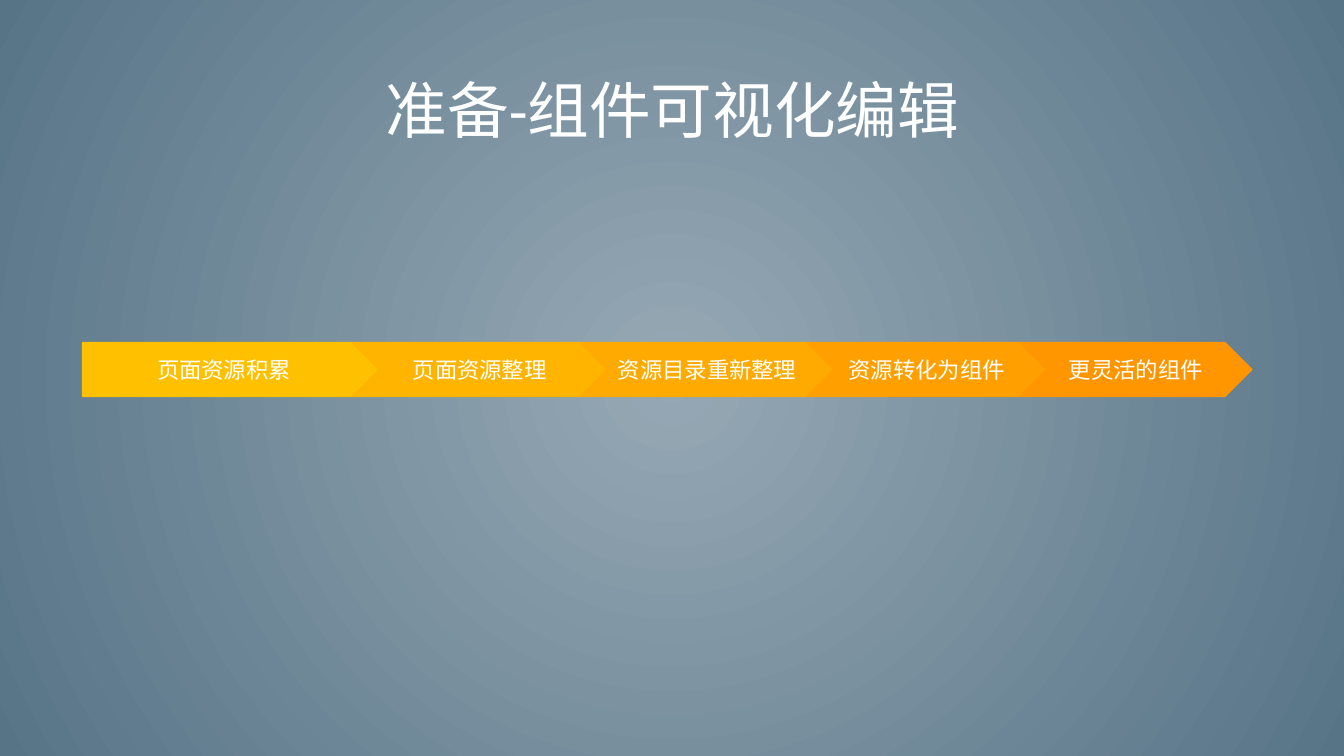
from dataclasses import dataclass

import lxml.etree
import pptx
import pptx.dml.color
import pptx.enum.shapes
import pptx.enum.text
import pptx.oxml.ns
import pptx.util


@dataclass(frozen=True)
class Theme:
    font: str = "Calibri"
    text: str = "FFFFFF"
    glow: str = "96A8B4"
    edge: str = "577487"
    title_size: int = 44
    step_size: int = 16
    outline: int = 1


@dataclass(frozen=True)
class Step:
    label: str
    width: float
    color: str


THEME = Theme()
SLIDE_WIDTH = pptx.util.Inches(13.33)
SLIDE_HEIGHT = pptx.util.Inches(7.5)
CHAIN_LEFT, CHAIN_TOP, CHAIN_HEIGHT = 6.15, 45.33, 7.1
OVERLAP = 1.99
STEPS = [
    Step("页面资源积累", 22.05, "FFC000"),
    Step("页面资源整理", 18.98, "FFB500"),
    Step("资源目录重新整理", 18.83, "FFAA00"),
    Step("资源转化为组件", 17.85, "FFA000"),
    Step("更灵活的组件", 17.25, "FF9600"),
]


def across(percent: float) -> int:
    return round(SLIDE_WIDTH * percent / 100)


def down(percent: float) -> int:
    return round(SLIDE_HEIGHT * percent / 100)


def rgb(value: str) -> pptx.dml.color.RGBColor:
    return pptx.dml.color.RGBColor.from_string(value)


def apply(target, formats: dict) -> None:
    for name, value in formats.items():
        setattr(target, name, value)


def write(shape, wording: str, size: int, spacing: float) -> None:
    frame = shape.text_frame
    frame.text = wording
    apply(frame, {
        "word_wrap": True,
        "vertical_anchor": pptx.enum.text.MSO_ANCHOR.MIDDLE,
    })
    paragraph = frame.paragraphs[0]
    apply(paragraph, {
        "alignment": pptx.enum.text.PP_ALIGN.CENTER,
        "line_spacing": spacing,
    })
    font = paragraph.runs[0].font
    apply(font, {"name": THEME.font, "size": pptx.util.Pt(size)})
    font.color.rgb = rgb(THEME.text)


def paint_background(slide) -> None:
    fill = slide.background.fill
    fill.gradient()
    for stop, color in zip(fill.gradient_stops, (THEME.glow, THEME.edge)):
        stop.color.rgb = rgb(color)
    qn = pptx.oxml.ns.qn
    linear = next(slide.element.iter(qn("a:lin")))
    gradient = linear.getparent()
    gradient.remove(linear)
    radial = lxml.etree.SubElement(gradient, qn("a:path"), {"path": "circle"})
    center = dict.fromkeys("ltrb", "50000")
    lxml.etree.SubElement(radial, qn("a:fillToRect"), center)


def draw_step(slide, step: Step, left: float, outline) -> None:
    arrow = slide.shapes.add_shape(
        outline, across(left), down(CHAIN_TOP), across(step.width), down(CHAIN_HEIGHT)
    )
    arrow.shadow.inherit = False
    for fill in (arrow.fill, arrow.line.fill):
        fill.solid()
        fill.fore_color.rgb = rgb(step.color)
    arrow.line.width = pptx.util.Pt(THEME.outline)
    write(arrow, step.label, THEME.step_size, 1.0)
    sides = ("left", "right", "top", "bottom")
    apply(arrow.text_frame, {f"margin_{side}": 0 for side in sides})


def draw_chain(slide) -> None:
    shapes = pptx.enum.shapes.MSO_SHAPE
    left = CHAIN_LEFT
    for index, step in enumerate(STEPS):
        draw_step(slide, step, left, shapes.CHEVRON if index else shapes.PENTAGON)
        left += step.width - OVERLAP


deck = pptx.Presentation()
apply(deck, {"slide_width": SLIDE_WIDTH, "slide_height": SLIDE_HEIGHT})
preparation = deck.slides.add_slide(deck.slide_layouts[5])
paint_background(preparation)
heading = preparation.shapes.title
apply(heading, {
    "left": across(6.9),
    "top": down(5.33),
    "width": across(86.27),
    "height": down(19.33),
})
write(heading, "准备-组件可视化编辑", THEME.title_size, 0.9)
draw_chain(preparation)
deck.save("out.pptx")
